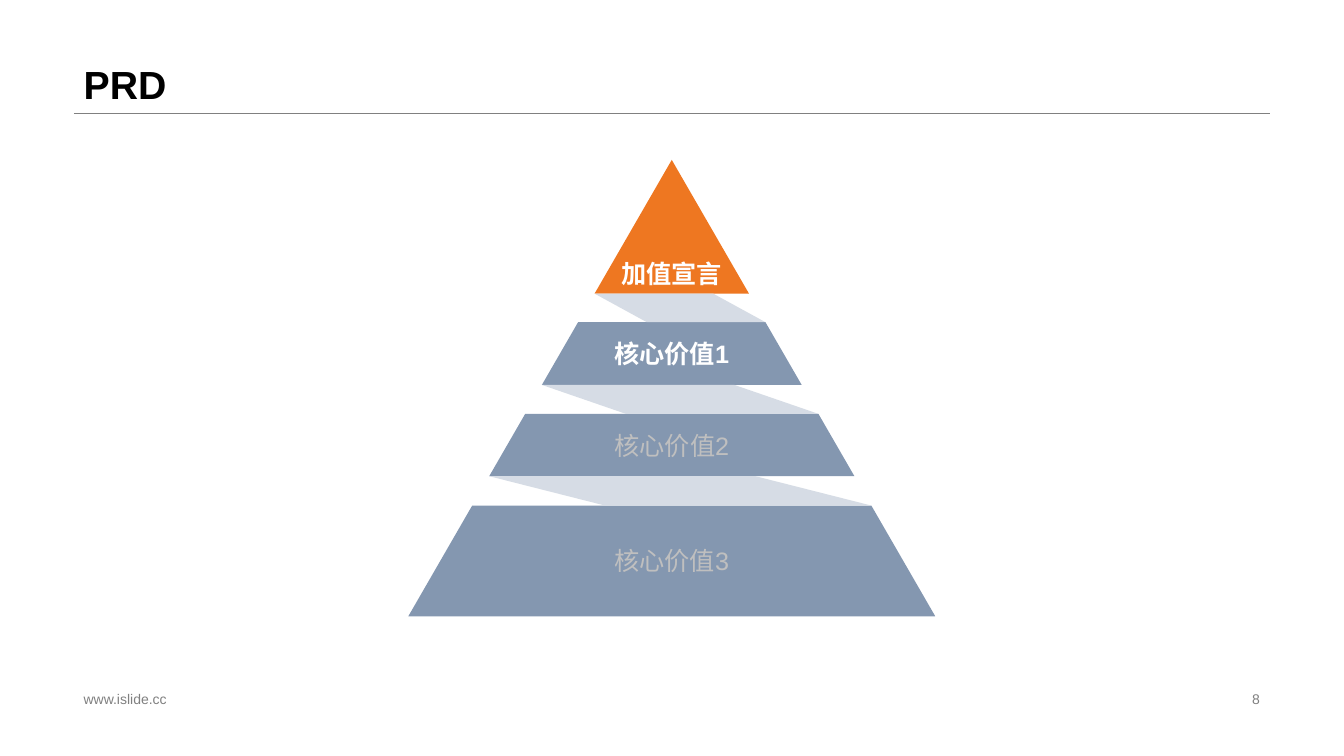
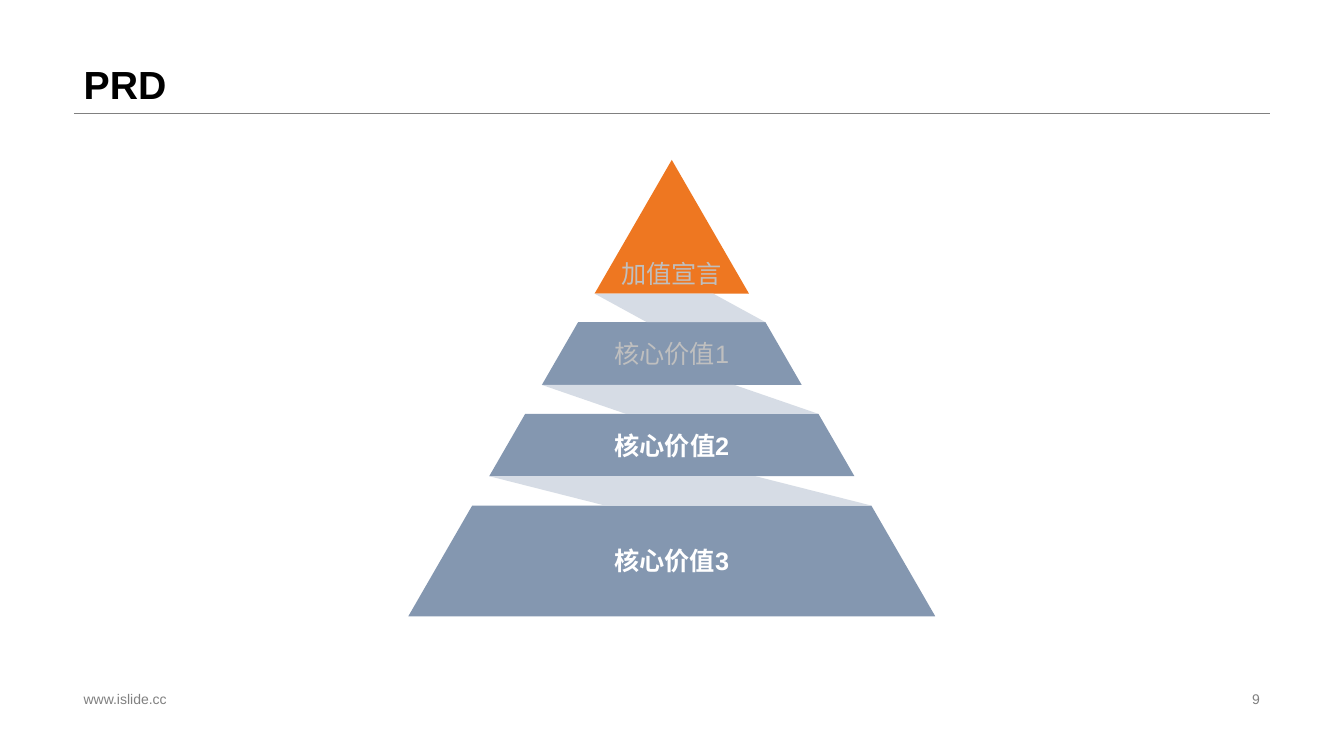
import math

from lxml import etree
from pptx import Presentation
from pptx.dml.color import RGBColor
from pptx.enum.shapes import MSO_CONNECTOR
from pptx.enum.text import MSO_ANCHOR, PP_ALIGN
from pptx.oxml.ns import qn
from pptx.util import Cm, Pt

STRAIGHT = MSO_CONNECTOR.STRAIGHT
MIDDLE, BOTTOM = MSO_ANCHOR.MIDDLE, MSO_ANCHOR.BOTTOM
LEFT, CENTER, RIGHT = PP_ALIGN.LEFT, PP_ALIGN.CENTER, PP_ALIGN.RIGHT

BLACK = RGBColor(0x00, 0x00, 0x00)
WHITE = RGBColor(0xFF, 0xFF, 0xFF)
GRAY = RGBColor(0x80, 0x80, 0x80)
DIMMED = RGBColor(0xBF, 0xBF, 0xBF)
ORANGE = RGBColor(0xEE, 0x77, 0x21)
BLUE = RGBColor(0x84, 0x97, 0xB0)
PALE_BLUE = RGBColor(0xD6, 0xDC, 0xE5)
FONT = "Arial"

# All lengths are in centimetres.
SLIDE_W, SLIDE_H = 33.87, 19.05
MARGIN_L, MARGIN_R = 1.86, 32.0
RULE_Y = 2.85
FOOTER_Y, FOOTER_H = 17.32, 0.58
APEX_X, APEX_Y = 16.93, 4.03
SLOPE = math.tan(math.radians(30))
RIBBON_W, RIBBON_STEP = 2.99, 1.86

# Label, top, bottom, fill, text anchor
TIERS = [
    ("加值宣言", APEX_Y, 7.4, ORANGE, BOTTOM),
    ("核心价值1", 8.12, 9.7, BLUE, MIDDLE),
    ("核心价值2", 10.43, 12.0, BLUE, MIDDLE),
    ("核心价值3", 12.74, 15.53, BLUE, MIDDLE),
]
# Page number, indexes of the highlighted tiers
PAGES = [(8, (0, 1)), (9, (2, 3))]


def set_text(shape, text, size, color, bold=False, align=LEFT, anchor=MIDDLE, wrap=True):
    tf = shape.text_frame
    tf.word_wrap = wrap
    tf.vertical_anchor = anchor
    p = tf.paragraphs[0]
    p.text = text
    p.alignment = align
    font = p.runs[0].font
    font.name, font.size, font.bold = FONT, Pt(size), bold
    font.color.rgb = color
    return p


def add_text(s, left, top, width, height, text, size, color, **style):
    box = s.shapes.add_textbox(Cm(left), Cm(top), Cm(width), Cm(height))
    return set_text(box, text, size, color, **style)


def add_rule(s):
    line = s.shapes.add_connector(
        STRAIGHT, Cm(MARGIN_L), Cm(RULE_Y), Cm(MARGIN_R), Cm(RULE_Y))
    line.line.color.rgb = GRAY
    line.line.width = Pt(0.25)
    etree.SubElement(line._element.spPr, qn("a:effectLst"))


def add_frame(s, title, number):
    """Add the title, its rule and the footer."""
    add_rule(s)
    p = add_text(s, MARGIN_L, 0, MARGIN_R - MARGIN_L, RULE_Y, title, 28, BLACK,
                 bold=True, anchor=BOTTOM)
    p.line_spacing = 0.9
    add_text(s, MARGIN_L, FOOTER_Y, 11.5, FOOTER_H, "www.islide.cc", 10, GRAY)
    add_text(s, MARGIN_R - 8.08, FOOTER_Y, 8.08, FOOTER_H, str(number), 10, GRAY,
             align=RIGHT)


def add_polygon(shapes, points, fill):
    start, *rest = [(Cm(x), Cm(y)) for x, y in points]
    builder = shapes.build_freeform(*start)
    builder.add_line_segments(rest, close=True)
    sp = builder.convert_to_shape()
    sp.shadow.inherit = False
    sp.fill.solid()
    sp.fill.fore_color.rgb = fill
    sp.line.fill.background()
    return sp


def edges(y):
    """Return the left and right x of the pyramid at height y."""
    half = (y - APEX_Y) * SLOPE
    return APEX_X - half, APEX_X + half


def add_tier(shapes, tier, active):
    label, top, bottom, fill, anchor = tier
    (top_l, top_r), (bottom_l, bottom_r) = edges(top), edges(bottom)
    points = [(bottom_l, bottom), (top_l, top), (bottom_r, bottom)]
    if top > APEX_Y:
        points.insert(2, (top_r, top))
    sp = add_polygon(shapes, points, fill)
    set_text(sp, label, 18, WHITE if active else DIMMED, bold=active,
             align=CENTER, anchor=anchor, wrap=False)


def add_ribbon(shapes, top, bottom, width):
    """Join the left end of one tier to the right end of the next."""
    left, right = edges(top)[0], edges(bottom)[1]
    add_polygon(shapes, [(left, top), (left + width, top),
                         (right, bottom), (right - width, bottom)], PALE_BLUE)


def add_pyramid(s, active):
    shapes = s.shapes.add_group_shape().shapes
    for i, tier in enumerate(TIERS):
        add_tier(shapes, tier, i in active)
    for i, (upper, lower) in enumerate(zip(TIERS, TIERS[1:])):
        add_ribbon(shapes, upper[2], lower[1], RIBBON_W + i * RIBBON_STEP)


def main():
    prs = Presentation()
    prs.slide_width, prs.slide_height = Cm(SLIDE_W), Cm(SLIDE_H)
    for number, active in PAGES:
        s = prs.slides.add_slide(prs.slide_layouts[6])
        add_frame(s, "PRD", number)
        add_pyramid(s, active)
    prs.save("out.pptx")


if __name__ == "__main__":
    main()
